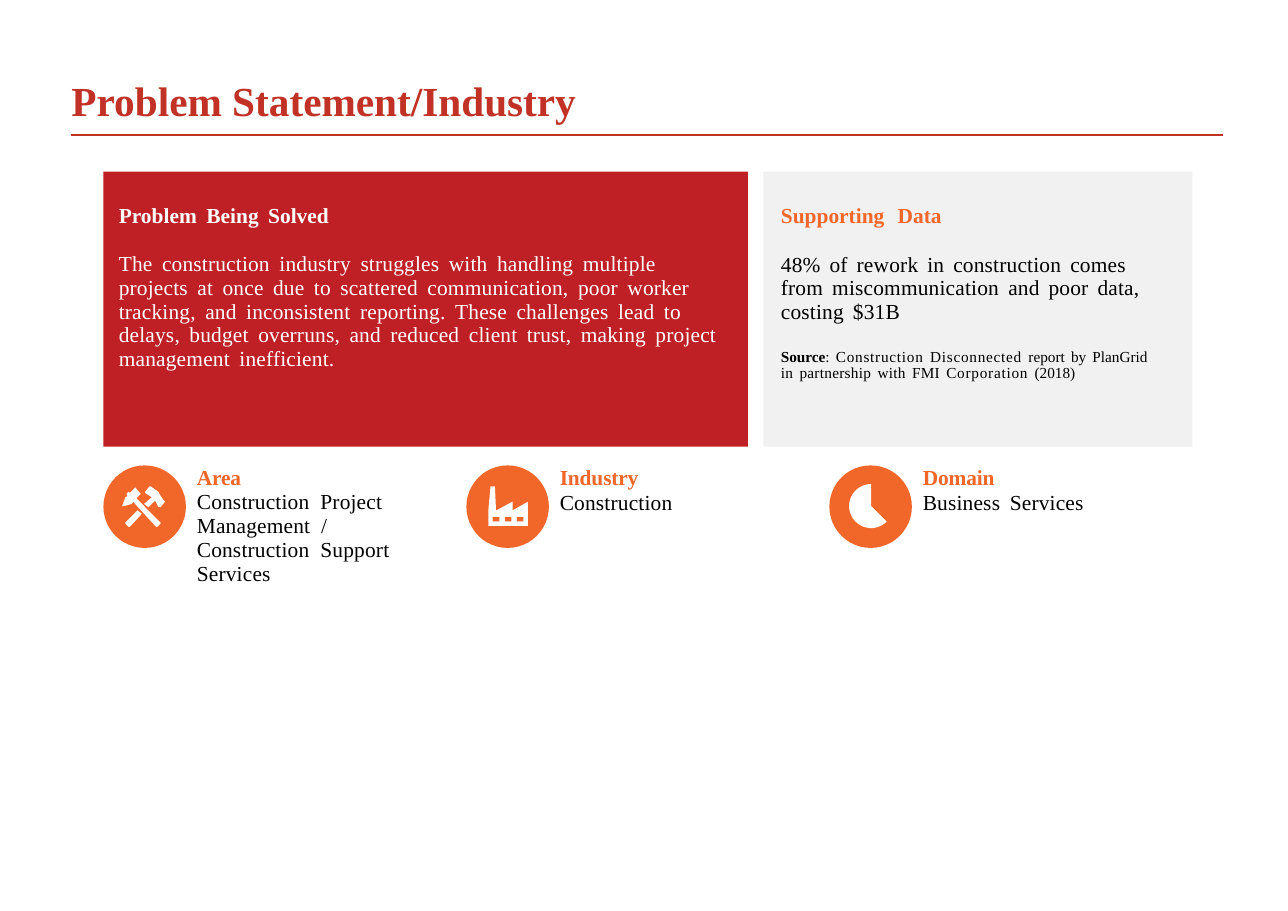
import itertools
import math

import pptx
import pptx.dml.color
import pptx.enum.shapes
import pptx.enum.text
import pptx.oxml.ns
import pptx.util
from lxml import etree
from pptx.util import Inches

COLORS = {
    "title": "C13125",
    "problem": "BE2025",
    "accent": "F16629",
    "panel": "F1F1F1",
    "light": "FFFFFF",
    "dark": "000000",
}
SHAPES = pptx.enum.shapes.MSO_SHAPE


class ProblemSlide:
    """Holds the style and the current slide, and draws each kind of element."""

    font = "Times New Roman"

    def __init__(self, deck):
        self.slide = deck.slides.add_slide(deck.slide_layouts[5])
        self.shapes = self.slide.shapes

    def color(self, name):
        return pptx.dml.color.RGBColor.from_string(COLORS[name])

    def paint(self, shape, color):
        shape.shadow.inherit = False
        shape.fill.solid()
        shape.fill.fore_color.rgb = self.color(color)
        shape.line.fill.background()
        return shape

    def fill_text(self, frame, insets, paragraphs):
        left, top, right = insets
        settings = {
            "word_wrap": True,
            "auto_size": pptx.enum.text.MSO_AUTO_SIZE.NONE,
            "vertical_anchor": pptx.enum.text.MSO_ANCHOR.TOP,
            "margin_left": Inches(left),
            "margin_top": Inches(top),
            "margin_right": Inches(right),
            "margin_bottom": 0,
        }
        for key, value in settings.items():
            setattr(frame, key, value)
        for index, content in enumerate(paragraphs):
            paragraph = frame.add_paragraph() if index else frame.paragraphs[0]
            self.paragraph(paragraph, **content)

    def paragraph(self, paragraph, pieces, color, size=14, bold=False, gap=2.6,
                  before=0, leading=1.0):
        layout = {
            "alignment": pptx.enum.text.PP_ALIGN.LEFT,
            "space_before": pptx.util.Pt(before),
            "space_after": pptx.util.Pt(0),
            "line_spacing": leading if leading < 2 else pptx.util.Pt(leading),
        }
        for key, value in layout.items():
            setattr(paragraph, key, value)
        for text, tracking, *weight in pieces:
            style = {
                "name": self.font,
                "size": pptx.util.Pt(size),
                "bold": weight[0] if weight else bold,
            }
            for separator, letters in itertools.groupby(text, lambda letter: letter in " \n"):
                token = "".join(letters)
                if token == "\n":
                    paragraph.add_line_break()
                    continue
                run = paragraph.add_run()
                run.text = token
                for key, value in style.items():
                    setattr(run.font, key, value)
                run.font.color.rgb = self.color(color)
                spacing = gap if separator else tracking
                run._r.get_or_add_rPr().set("spc", str(round(spacing * 100)))

    def title(self, box, text):
        heading = self.shapes.title
        for key, value in zip(("left", "top", "width", "height"), box):
            setattr(heading, key, Inches(value))
        self.fill_text(heading.text_frame, (0.01, 0.02, 0), [
            {"pieces": [(text, 0)], "color": "title", "size": 27, "bold": True, "gap": 0}])

    def rule(self, left, right, y):
        line = self.shapes.add_connector(
            pptx.enum.shapes.MSO_CONNECTOR.STRAIGHT,
            Inches(left), Inches(y), Inches(right), Inches(y))
        line.line.color.rgb = self.color("title")
        line.line.width = pptx.util.Pt(1.5)
        etree.SubElement(line._element.spPr, pptx.oxml.ns.qn("a:effectLst"))

    def block(self, kind, box, color):
        return self.paint(self.shapes.add_shape(kind, *map(Inches, box)), color)

    def panel(self, box, color, insets, paragraphs):
        self.fill_text(self.block(SHAPES.RECTANGLE, box, color).text_frame, insets, paragraphs)

    def label(self, box, paragraphs):
        frame = self.shapes.add_textbox(*map(Inches, box)).text_frame
        self.fill_text(frame, (0.01, 0.04, 0), paragraphs)

    def outline(self, *contours):
        paths = [[(Inches(x), Inches(y)) for x, y in contour] for contour in contours]
        builder = self.shapes.build_freeform(*paths[0][0])
        builder.add_line_segments(paths[0][1:])
        for points in paths[1:]:
            builder.move_to(*points[0])
            builder.add_line_segments(points[1:])
        self.paint(builder.convert_to_shape(), "light")


def draw_tools(page):
    """Draw the crossed hammer and pick."""
    handle = [(1.29, 4.67), (1.25, 4.64), (1.14, 4.75), (1.14, 4.76), (1.17, 4.79), (1.18, 4.79)]
    pick = [(1.46, 4.75), (1.24, 4.53), (1.28, 4.49), (1.23, 4.43), (1.18, 4.48), (1.17, 4.47),
            (1.15, 4.49), (1.16, 4.51), (1.14, 4.52), (1.11, 4.6), (1.13, 4.6), (1.2, 4.58),
            (1.21, 4.56), (1.42, 4.79), (1.43, 4.79), (1.46, 4.76)]
    hammer = [(1.5, 4.56), (1.49, 4.55), (1.45, 4.49), (1.44, 4.47), (1.37, 4.42), (1.36, 4.42),
              (1.32, 4.47), (1.32, 4.48), (1.38, 4.52), (1.31, 4.58), (1.35, 4.61), (1.41, 4.55),
              (1.44, 4.61), (1.46, 4.61)]
    page.outline(handle, pick, hammer)


def draw_factory(page):
    """Draw the factory and its row of windows."""
    page.outline([(4.44, 4.78), (4.44, 4.64), (4.46, 4.42), (4.5, 4.42), (4.51, 4.64),
                  (4.66, 4.56), (4.66, 4.64), (4.8, 4.56), (4.8, 4.78)])
    for window in range(3):
        page.block(SHAPES.RECTANGLE, (4.48 + 0.11 * window, 4.7, 0.06, 0.04), "accent")


def draw_pie(page):
    """Draw the pie with its open slice."""
    center_x, center_y, radius = 7.92, 4.6, 0.2
    arc = [(center_x + radius * math.cos(math.radians(angle)),
            center_y + radius * math.sin(math.radians(angle)))
           for angle in range(45, 271, 5)]
    page.outline([(center_x, center_y), *arc])


def main():
    """Build the slide and save it."""
    deck = pptx.Presentation()
    deck.slide_width, deck.slide_height = Inches(11.71), Inches(8.28)
    page = ProblemSlide(deck)
    page.rule(0.65, 11.12, 1.23)
    page.title((0.64, 0.66, 6, 0.48), "Problem Statement/Industry")

    page.panel((0.94, 1.56, 5.86, 2.5), "problem", (0.14, 0.28, 0.24), [
        {"pieces": [("Problem Being Solved", 0)], "color": "light", "bold": True},
        {"pieces": [("The construction industry struggles with handling multiple projects at "
                     "once due to scattered communication, poor worker tracking, and "
                     "inconsistent reporting. These challenges lead to delays, budget "
                     "overruns, and reduced client trust, making project management "
                     "inefficient.", 0.1)],
         "color": "light", "before": 15.8, "leading": 0.93},
    ])
    page.panel((6.94, 1.56, 3.9, 2.5), "panel", (0.16, 0.28, 0.29), [
        {"pieces": [("Supporting Data", 0)], "color": "accent", "bold": True, "gap": 5},
        {"pieces": [("48% of rework in construction comes from miscommunication and poor "
                     "data, costing $31B", 0.1)],
         "color": "dark", "gap": 2.3, "before": 16.3, "leading": 15.4},
        {"pieces": [("Source", 0, True), (": ", 0), ("Construction Disconnected ", 0.5),
                    ("report by PlanGrid\n", 0), ("in partnership with FMI ", 0.2),
                    ("Corporation ", 0.5), ("(2018)", 0)],
         "color": "dark", "size": 10, "gap": 1.6, "before": 16.3, "leading": 10.9},
    ])

    facts = [
        ("Area", "Construction Project Management / Construction Support Services",
         1.83, 1.13, {"gap": 3.5, "leading": 0.93, "before": 0.5}, draw_tools),
        ("Industry", "Construction", 1.3, 0.48, {"leading": 16.1}, draw_factory),
        ("Domain", "Business Services", 1.7, 0.48, {"leading": 16.1}, draw_pie),
    ]
    for column, (name, detail, width, height, spacing, draw_icon) in enumerate(facts):
        left = 0.94 + 3.3 * column
        page.block(SHAPES.OVAL, (left, 4.23, 0.75, 0.75), "accent")
        draw_icon(page)
        page.label((left + 0.84, 4.19, width, height), [
            {"pieces": [(name, -0.1)], "color": "accent", "bold": True, "leading": 16.1},
            {"pieces": [(detail, 0.1)], "color": "dark", **spacing},
        ])
    deck.save("out.pptx")


if __name__ == "__main__":
    main()
